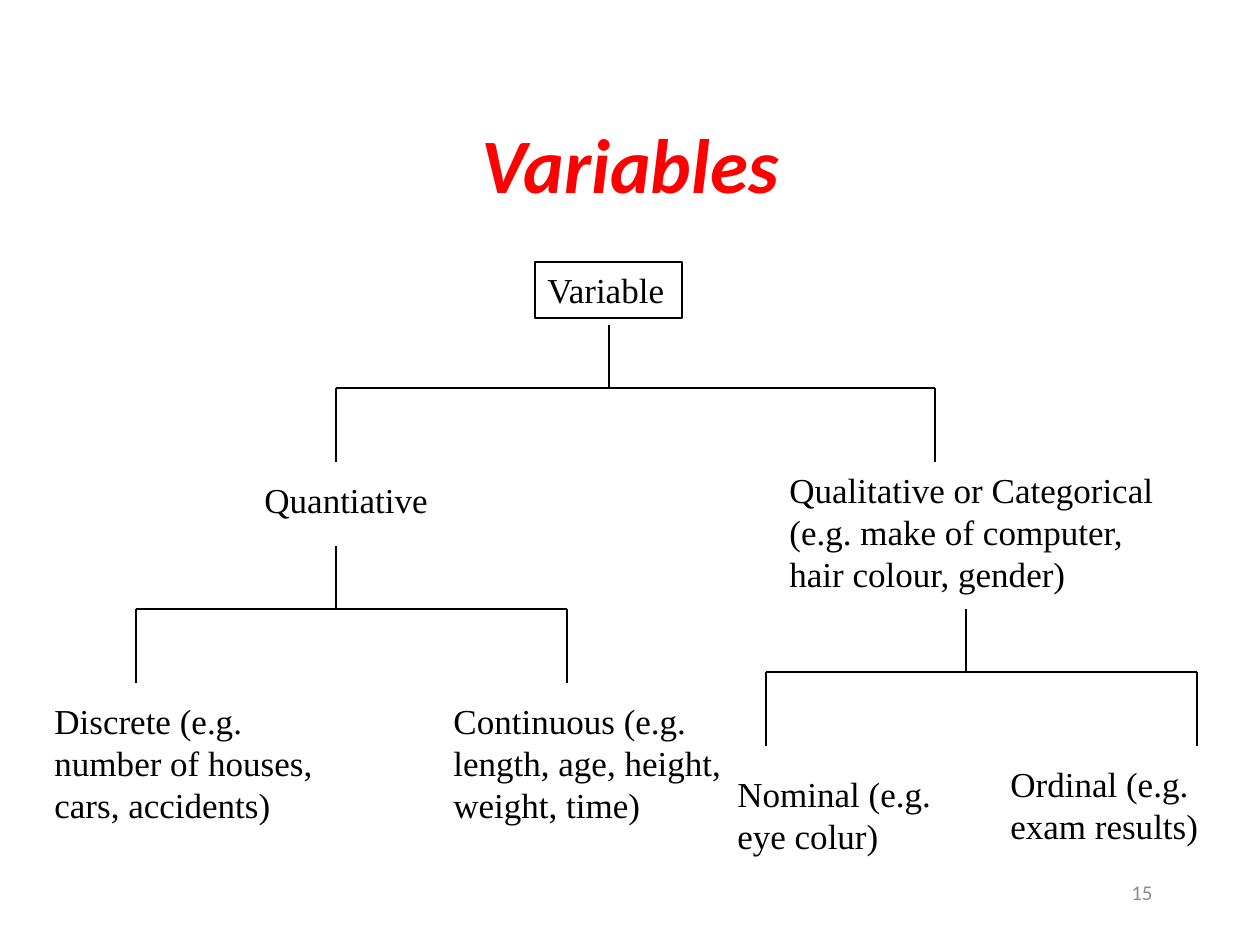
from pptx import Presentation
from pptx.dml.color import RGBColor as Rgb
from pptx.enum.shapes import MSO_CONNECTOR as Conn, MSO_SHAPE as Kind
from pptx.enum.text import MSO_ANCHOR as Anchor, PP_ALIGN as Align
from pptx.oxml.ns import qn
from pptx.util import Pt
from lxml import etree

PX = 914400 / 126
WIDE, HIGH = 1260, 945
STEM, DROP = 63, 74

THEME = {
    "ink": Rgb(0, 0, 0),
    "rule": Pt(0.75),
    "title": {"name": "Calibri", "size": Pt(44), "bold": True, "italic": True},
    "label": {"name": "Times New Roman", "size": Pt(20)},
    "page": {"name": "Calibri", "size": Pt(12)},
    "red": Rgb(255, 0, 0),
    "grey": Rgb(0x8C, 0x8C, 0x8C),
}

TITLE = ("Variables", (95, 84, 1071, 158))
ROOT = ("Variable", (535, 262, 147, 56))
LABELS = [
    ("Quantiative", (252, 472, 336, 55)),
    ("Discrete (e.g. number of houses, cars, accidents)", (42, 693, 294, 139)),
    ("Continuous (e.g. length, age, height, weight, time)", (441, 693, 336, 139)),
    ("Qualitative or Categorical (e.g. make of computer, hair colour, gender)",
     (777, 462, 420, 139)),
    ("Nominal (e.g. eye colur)", (725, 766, 242, 97)),
    ("Ordinal (e.g. exam results)", (998, 756, 242, 97)),
]
PAGE = ("15", (903, 861, 262, 63))
FORKS = [
    (609, 325, 336, 935),
    (336, 546, 136, 567),
    (966, 609, 766, 1197),
]


def emu(*nums):
    return [round(n * PX) for n in nums]


def write(shape, text, font, color, align=Align.LEFT, anchor=Anchor.TOP):
    frame = shape.text_frame
    frame.word_wrap = True
    frame.vertical_anchor = anchor
    para = frame.paragraphs[0]
    para.text = text
    para.alignment = align
    for key, value in THEME[font].items():
        setattr(para.font, key, value)
    para.font.color.rgb = THEME[color]


def add_text(slide, item, font, color, **place):
    text, area = item
    write(slide.shapes.add_textbox(*emu(*area)), text, font, color, **place)


def add_root(slide):
    text, area = ROOT
    box = slide.shapes.add_shape(Kind.RECTANGLE, *emu(*area))
    box.shadow.inherit = False
    box.fill.background()
    box.line.color.rgb = THEME["ink"]
    box.line.width = THEME["rule"]
    write(box, text, "label", "ink")


def add_line(slide, *ends):
    line = slide.shapes.add_connector(Conn.STRAIGHT, *emu(*ends))
    line.line.color.rgb = THEME["ink"]
    line.line.width = THEME["rule"]
    etree.SubElement(line._element.spPr, qn("a:effectLst"))


def add_fork(slide, mid, top, left, right):
    bar = top + STEM
    add_line(slide, mid, top, mid, bar)
    add_line(slide, left, bar, right, bar)
    for side in (left, right):
        add_line(slide, side, bar, side, bar + DROP)


def main():
    deck = Presentation()
    deck.slide_width, deck.slide_height = emu(WIDE, HIGH)
    slide = deck.slides.add_slide(deck.slide_layouts[6])
    add_text(slide, TITLE, "title", "red", align=Align.CENTER, anchor=Anchor.MIDDLE)
    add_root(slide)
    for fork in FORKS:
        add_fork(slide, *fork)
    for label in LABELS:
        add_text(slide, label, "label", "ink")
    add_text(slide, PAGE, "page", "grey", align=Align.RIGHT, anchor=Anchor.MIDDLE)
    deck.save("out.pptx")


if __name__ == "__main__":
    main()
